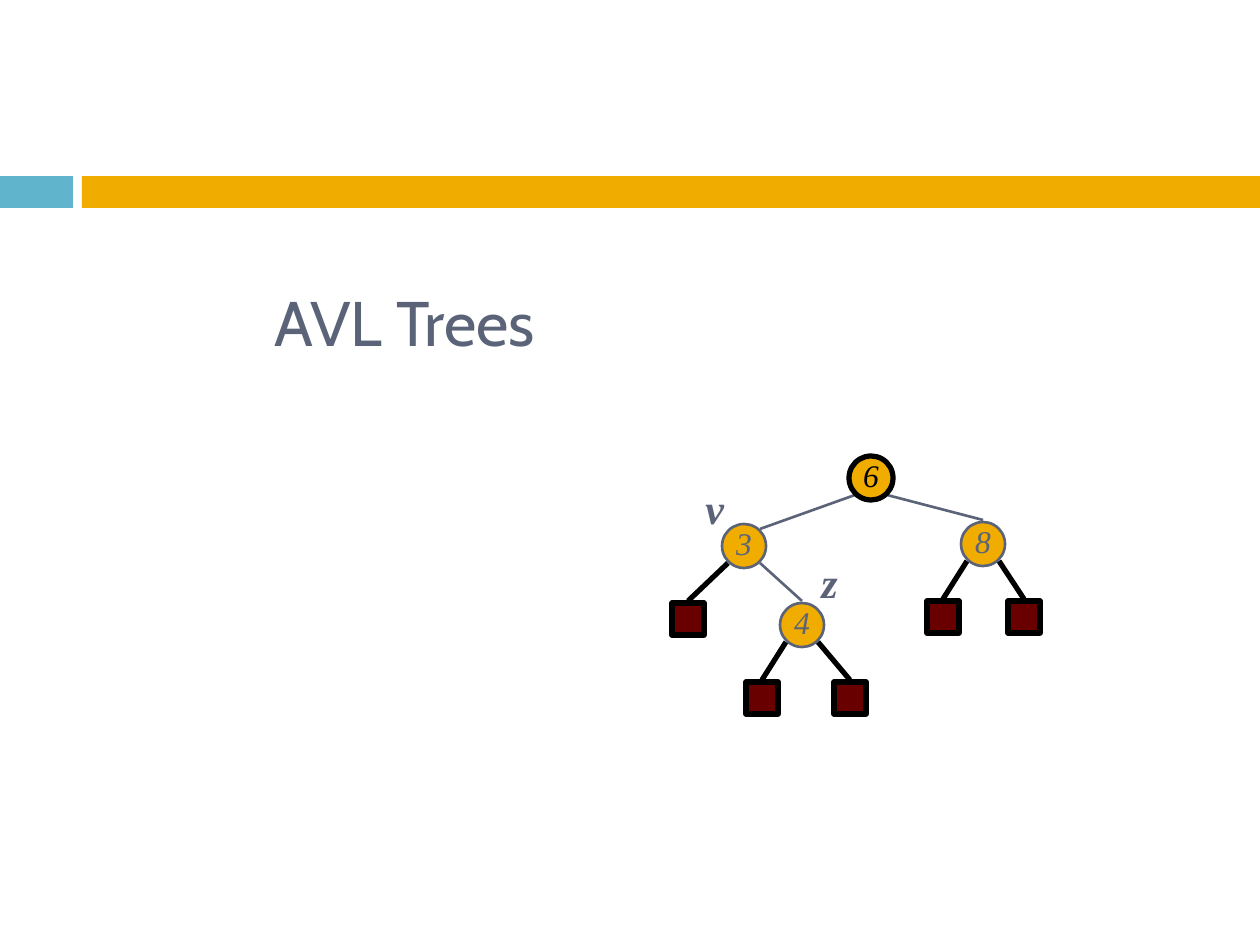
from pptx import Presentation, util as u
from pptx.dml.color import RGBColor
from pptx.enum import shapes, text
from pptx.oxml.ns import qn
from lxml import etree

PX = 914400 / 126
SLATE, GOLD, BLACK, MAROON = "5A6378", "F0AD00", "000000", "680000"
SERIF = "Times New Roman"


def px(*lengths):
    """Turn pixel lengths into EMU."""
    return [u.Emu(round(n * PX)) for n in lengths]


def write(sp, words, size, font=SERIF, color=SLATE, bold=False, italic=True,
          align=text.PP_ALIGN.LEFT, anchor=text.MSO_ANCHOR.MIDDLE, wrap=False, insets=None):
    tf = sp.text_frame
    tf.auto_size = text.MSO_AUTO_SIZE.NONE
    tf.word_wrap = wrap
    tf.vertical_anchor = anchor
    if insets:
        tf.margin_left, tf.margin_top, tf.margin_right, tf.margin_bottom = px(*insets)
    p = tf.paragraphs[0]
    p.alignment = align
    r = p.add_run()
    r.text = words
    r.font.name, r.font.size = font, u.Pt(size)
    r.font.bold, r.font.italic = bold, italic
    r.font.color.rgb = RGBColor.from_string(color)


prs = Presentation()
prs.slide_width, prs.slide_height = px(1260, 945)
s = prs.slides.add_slide(prs.slide_layouts[5])

# Title
title = s.shapes.title
title.left, title.top, title.width, title.height = px(262, 242, 483, 158)
write(title, "AVL Trees", 36, font="Cabin", italic=False, wrap=True)

# Band across the slide
for left, width, color in [(0, 73, "60B5CC"), (82, 1178, GOLD)]:
    sp = s.shapes.add_shape(shapes.MSO_SHAPE.RECTANGLE, *px(left, 176, width, 32))
    sp.shadow.inherit = False
    sp.fill.solid()
    sp.fill.fore_color.rgb = RGBColor.from_string(color)
    sp.line.fill.background()

# Tree nodes: key, centre, parent; an empty key is an external node
centres = {"6": (871, 478), "3": (744, 546), "8": (983, 544), "4": (802, 625)}
nodes = [("6", centres["6"], None), ("3", centres["3"], "6"),
         ("8", centres["8"], "6"), ("4", centres["4"], "3"),
         ("", (688, 619), "3"), ("", (943, 617), "8"), ("", (1024, 617), "8"),
         ("", (762, 698), "4"), ("", (850, 698), "4")]
tree = s.shapes.add_group_shape().shapes

# Edges run from the lower side of the parent to the top of the child
for key, (x, y), parent in nodes:
    if parent is None:
        continue
    parent_x, parent_y = centres[parent]
    side = 16 if x > parent_x else -16
    end = (x + 16, y - 17) if key == "3" else (x, y - (24 if key else 18))
    line = tree.add_connector(shapes.MSO_CONNECTOR.STRAIGHT,
                              *px(parent_x + side, parent_y + 17, *end))
    line.line.color.rgb = RGBColor.from_string(SLATE if key else BLACK)
    line.line.width = u.Pt(1.5 if key else 3)
    etree.SubElement(line._element.spPr, qn("a:effectLst"))

for key, (x, y), parent in nodes:
    kind = shapes.MSO_SHAPE.OVAL if key else shapes.MSO_SHAPE.RECTANGLE
    size = 44 if key else 32
    color = SLATE if key and parent else BLACK
    sp = tree.add_shape(kind, *px(x - size / 2, y - size / 2, size, size))
    sp.shadow.inherit = False
    sp.fill.solid()
    sp.fill.fore_color.rgb = RGBColor.from_string(GOLD if key else MAROON)
    sp.line.color.rgb = RGBColor.from_string(color)
    sp.line.width = u.Pt(1.5 if key and parent else 3)
    if key:
        write(sp, key, 18, color=color, align=text.PP_ALIGN.CENTER, insets=(0, 0, 0, 6))

# Node names
for name, left, top in [("v", 693, 476), ("z", 809, 550)]:
    write(tree.add_textbox(*px(left, top, 43, 63)), name, 24, bold=True,
          anchor=text.MSO_ANCHOR.TOP)

prs.save("out.pptx")
